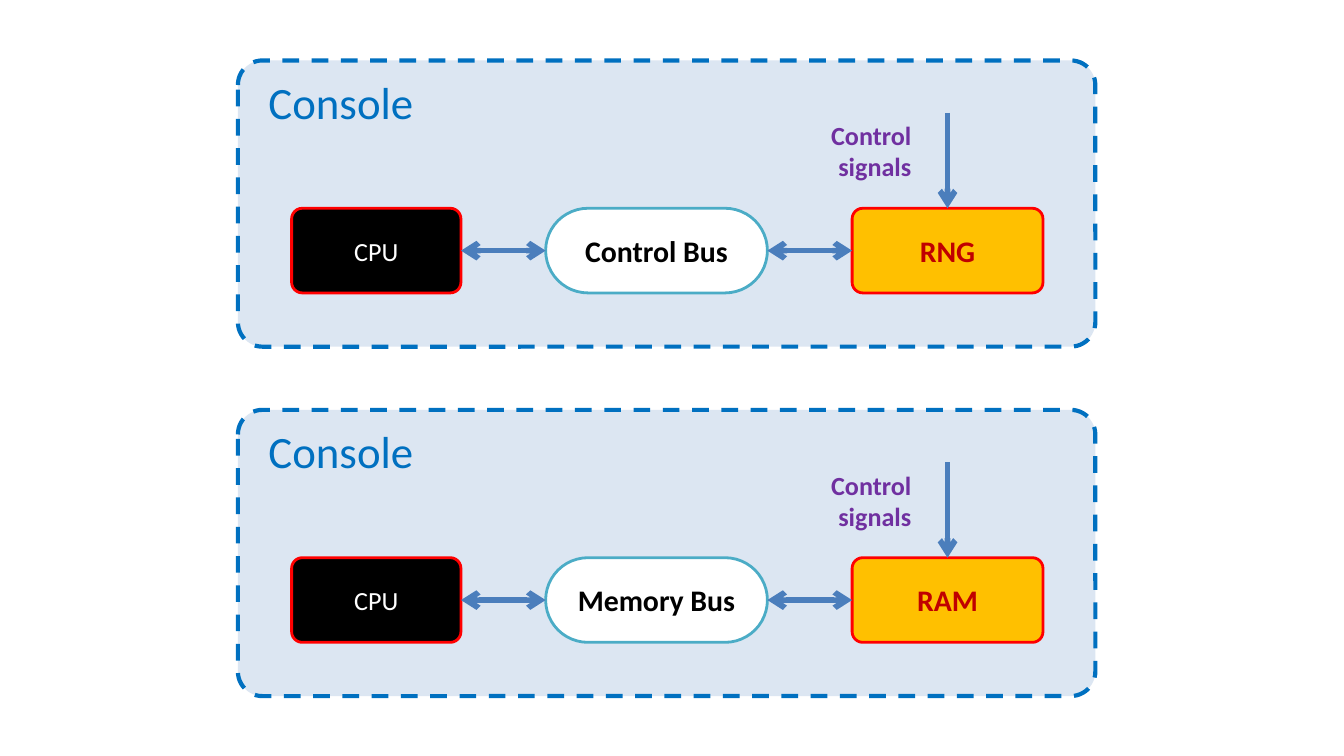
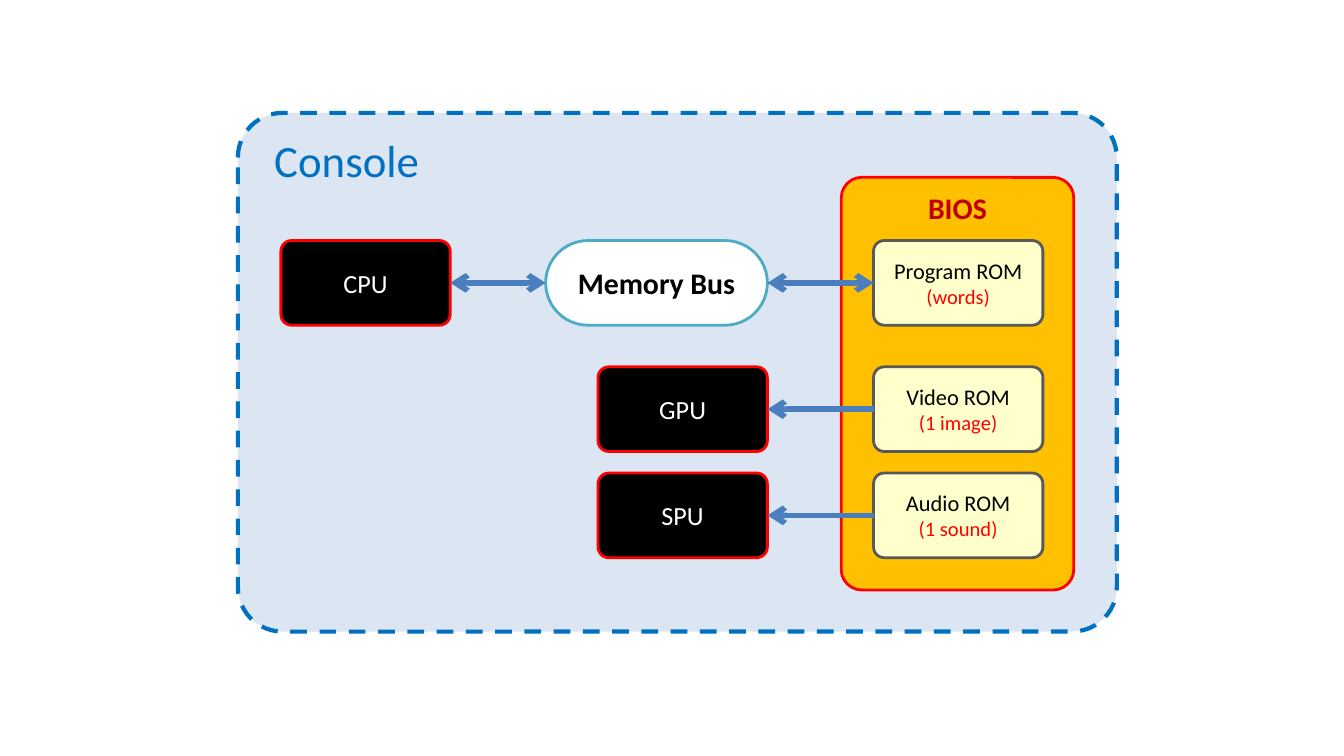
"""Builds two slides of console block diagrams: bus links and BIOS memory."""
from lxml import etree
from pptx import Presentation
from pptx.dml.color import RGBColor
from pptx.enum.dml import MSO_LINE
from pptx.enum.shapes import MSO_CONNECTOR, MSO_SHAPE
from pptx.enum.text import MSO_ANCHOR, PP_ALIGN
from pptx.oxml.ns import qn
from pptx.util import Inches, Pt

FONT = "Calibri"
ARROW = "4B7EBC"
SIGNAL = "7030A0"
BOX_H = 0.63
CHIP_W, BUS_W, DEVICE_W = 1.26, 1.65, 1.42
PANEL_X, BUS_X = 1.77, 4.06
BUS_RIGHT = BUS_X + BUS_W
LEFT, RIGHT, TOP = 1, 3, 0

STYLES = {
    "panel": dict(fill="DCE6F2", line="0070C0", weight=2.25, adj=0.086, dash=True,
                  fonts=[(24, "0070C0", False)], align=PP_ALIGN.LEFT, anchor=MSO_ANCHOR.TOP),
    "device": dict(fill="FFC000", line="FF0000", adj=0.125, fonts=[(16, "C00000", True)]),
    "bios": dict(fill="FFC000", line="FF0000", adj=0.088, fonts=[(16, "C00000", True)],
                 anchor=MSO_ANCHOR.TOP),
    "chip": dict(fill="000000", line="FF0000", adj=0.125, fonts=[(14, "FFFFFF", False)]),
    "bus": dict(fill="FFFFFF", line="4BACC6", adj=0.5, fonts=[(16, "000000", True)]),
    "rom": dict(fill="FFFFCC", line="595959", adj=0.125,
                fonts=[(12, "000000", False), (11, "FF0000", False)]),
}

BUS_PANELS = [(0.45, "Control Bus", "RNG"), (3.05, "Memory Bus", "RAM")]
BIOS_ROWS = [
    (1.79, "CPU", ["Program ROM", "(words)"]),
    (2.73, "GPU", ["Video ROM", "(1 image)"]),
    (3.52, "SPU", ["Audio ROM", "(1 sound)"]),
]


def color(hex_string):
    return RGBColor.from_string(hex_string)


def write(frame, lines, fonts, align):
    frame.word_wrap = True
    for i, (line, (size, hex_string, bold)) in enumerate(zip(lines, fonts)):
        paragraph = frame.add_paragraph() if i else frame.paragraphs[0]
        paragraph.alignment = align
        run = paragraph.add_run()
        run.text = line
        run.font.name, run.font.size, run.font.bold = FONT, Pt(size), bold
        run.font.color.rgb = color(hex_string)


def box(slide, kind, x, y, w, h, *lines):
    style = STYLES[kind]
    shape = slide.shapes.add_shape(MSO_SHAPE.ROUNDED_RECTANGLE, *map(Inches, (x, y, w, h)))
    shape.adjustments[0] = style["adj"]
    shape.shadow.inherit = False
    shape.fill.solid()
    shape.fill.fore_color.rgb = color(style["fill"])
    shape.line.color.rgb = color(style["line"])
    shape.line.width = Pt(style.get("weight", 1.5))
    if style.get("dash"):
        shape.line.dash_style = MSO_LINE.DASH
    shape.text_frame.vertical_anchor = style.get("anchor", MSO_ANCHOR.MIDDLE)
    write(shape.text_frame, lines, style["fonts"], style.get("align", PP_ALIGN.CENTER))
    return shape


def arrow(slide, start, end, both=False):
    line = slide.shapes.add_connector(MSO_CONNECTOR.STRAIGHT, *start, *end)
    line.line.color.rgb = color(ARROW)
    line.line.width = Pt(3)
    properties = line._element.spPr
    outline = properties.find(qn("a:ln"))
    for tag in ["a:headEnd", "a:tailEnd"] if both else ["a:tailEnd"]:
        etree.SubElement(outline, qn(tag), type="arrow")
    etree.SubElement(properties, qn("a:effectLst"))
    return line


def link(slide, source, target, both=False):
    rightward = source.left < target.left
    sites = (RIGHT, LEFT) if rightward else (LEFT, RIGHT)
    points = [(s.left + (s.width if site == RIGHT else 0), s.top + s.height // 2)
              for s, site in zip((source, target), sites)]
    line = arrow(slide, *points, both)
    line.begin_connect(source, sites[0])
    line.end_connect(target, sites[1])


def bus_panel(slide, top, bus_name, device_name):
    row = top + 1.1
    box(slide, "panel", PANEL_X, top, 6.38, 2.13, " Console")
    device = box(slide, "device", 6.34, row, DEVICE_W, BOX_H, device_name)
    cpu = box(slide, "chip", 2.17, row, CHIP_W, BOX_H, "CPU")
    bus = box(slide, "bus", BUS_X, row, BUS_W, BOX_H, bus_name)
    link(slide, cpu, bus, both=True)
    link(slide, bus, device, both=True)
    center = device.left + device.width // 2
    arrow(slide, (center, Inches(top + 0.39)), (center, device.top)).end_connect(device, TOP)
    label = slide.shapes.add_textbox(*map(Inches, (5.94, top + 0.39, 0.94, 0.57)))
    write(label.text_frame, ["Control signals"], [(14, SIGNAL, True)], PP_ALIGN.RIGHT)


def bios_panel(slide):
    box(slide, "panel", PANEL_X, 0.84, 6.54, 3.86, " Console")
    box(slide, "bios", 6.26, 1.32, 1.73, 3.07, "BIOS")
    for i, (y, chip_name, rom_lines) in enumerate(BIOS_ROWS):
        on_bus = i == 0
        chip_x = 2.09 if on_bus else BUS_RIGHT - CHIP_W
        chip = box(slide, "chip", chip_x, y, CHIP_W, BOX_H, chip_name)
        rom = box(slide, "rom", 6.5, y, CHIP_W, BOX_H, *rom_lines)
        if on_bus:
            bus = box(slide, "bus", BUS_X, y, BUS_W, BOX_H, "Memory Bus")
            link(slide, chip, bus, both=True)
            link(slide, bus, rom, both=True)
        else:
            link(slide, rom, chip)


prs = Presentation()
prs.slide_width = Inches(10)
prs.slide_height = prs.slide_width * 9 // 16
blank = prs.slide_layouts[6]
bus_slide = prs.slides.add_slide(blank)
for panel in BUS_PANELS:
    bus_panel(bus_slide, *panel)
bios_panel(prs.slides.add_slide(blank))
prs.save("out.pptx")
